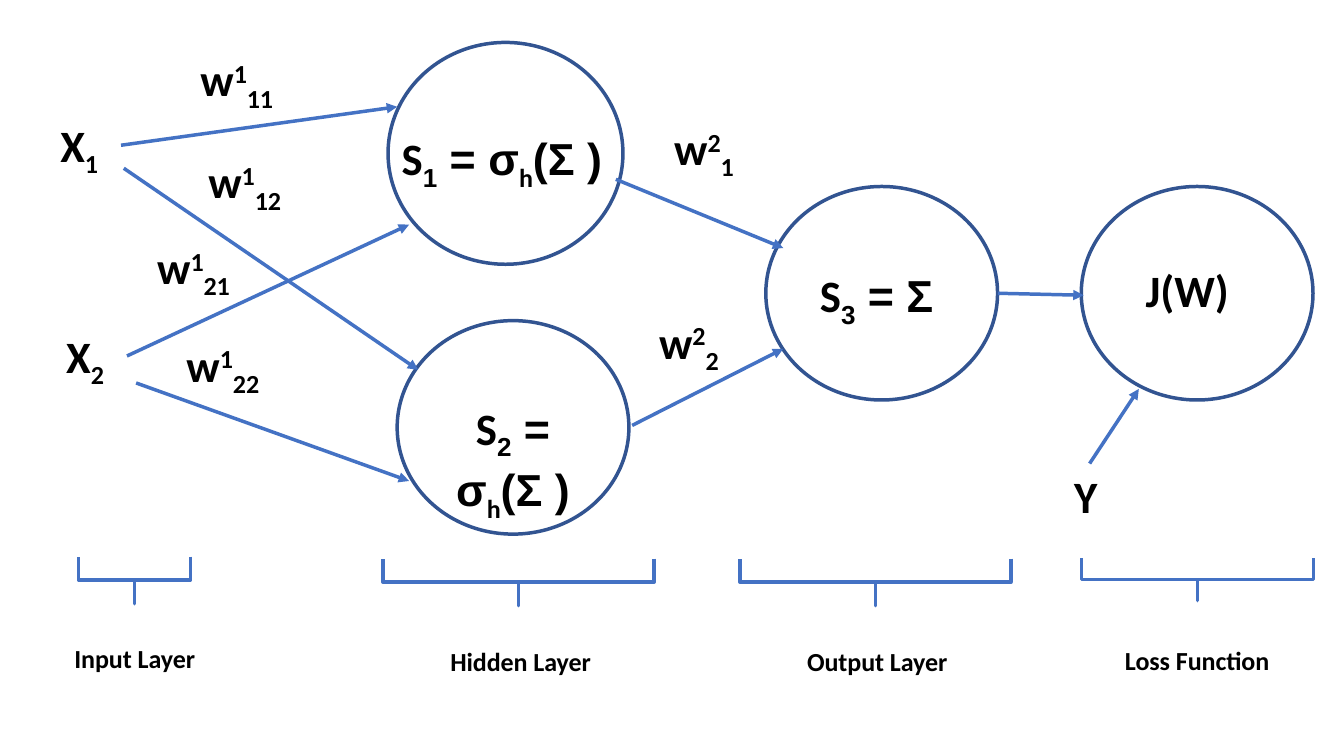
"""Build a slide showing a small neural network with its layers and loss function."""
from dataclasses import dataclass

from lxml import etree
from pptx import Presentation
from pptx.dml.color import RGBColor
from pptx.enum.shapes import MSO_CONNECTOR, MSO_SHAPE
from pptx.enum.text import MSO_AUTO_SIZE, PP_ALIGN
from pptx.oxml.ns import qn
from pptx.util import Cm, Pt


@dataclass(frozen=True)
class Theme:
    text: RGBColor = RGBColor(0x00, 0x00, 0x00)
    arrow: RGBColor = RGBColor(0x44, 0x72, 0xC4)
    outline: RGBColor = RGBColor(0x32, 0x54, 0x91)
    size: Pt = Pt(32)
    stroke: Pt = Pt(2.5)
    main: str = "Calibri"
    math: str = "Arial"


THEME = Theme()
SUB, BASE, SUPER = -25000, 0, 30000
LABEL_HEIGHT, CAPTION_HEIGHT = 1.63, 1.17
WEIGHT_WIDTH = 2.57


def symbol(name, sub="", sup=""):
    parts = [(name, BASE, THEME.main), (sup, SUPER, THEME.main), (sub, SUB, THEME.main)]
    return [part for part in parts if part[0]]


def neuron_sum(index, end=""):
    return [("S", BASE, THEME.main), (index, SUB, THEME.math), (f" = {end}", BASE, THEME.math)]


def hidden_sum(index, end):
    return neuron_sum(index, "σ") + [("h", SUB, THEME.main), (end, BASE, THEME.math)]


NEURONS = [
    ((9.78, 1.07, 5.92, 5.59), (9.78, 3.18, 5.74), hidden_sum("1", "(Σ ) ")),
    ((10.01, 8.08, 5.84, 5.38), (10.16, 9.98, 5.54), hidden_sum("2", "(Σ )")),
    ((19.3, 4.7, 5.84, 5.38), (19.53, 6.63, 5.44), neuron_sum("3", "Σ ")),
    ((27.25, 4.7, 5.84, 5.38), (27.2, 6.5, 5.44), symbol("J(W)")),
]
INPUTS = [
    ((1.27, 2.84, 1.78), symbol("X", "1")),
    ((1.42, 8.15, 1.78), symbol("X", "2")),
    ((26.82, 11.68, 1.27), symbol("Y")),
]
WEIGHTS = [
    (4.8, 1.19, "1", "11"),
    (5.0, 3.76, "1", "12"),
    (3.71, 5.92, "1", "21"),
    (4.45, 8.38, "1", "22"),
    (16.74, 2.92, "2", "1"),
    (16.36, 7.8, "2", "2"),
]
ARROWS = [
    (3.05, 3.66, 10.01, 2.69),
    (3.12, 4.24, 10.54, 9.32),
    (3.2, 8.97, 10.31, 5.66),
    (3.43, 9.65, 10.31, 12.12),
    (15.52, 4.52, 19.74, 6.25),
    (15.93, 10.72, 19.74, 8.79),
    (25.15, 7.39, 27.31, 7.44),
    (27.46, 11.68, 28.7, 9.8),
]
LAYERS = [
    ("Input Layer", (3.39, 14.62, 2.82, 1.19), (1.07, 15.32, 4.65)),
    ("Hidden Layer", (13.07, 14.67, 6.83, 1.19), (10.54, 15.39, 5.16)),
    ("Output Layer", (22.06, 14.67, 6.83, 1.19), (19.53, 15.39, 5.16)),
    ("Loss Function", (30.18, 14.6, 5.84, 1.07), (27.25, 15.37, 5.84)),
]


def add_outline(slide, preset, box, color):
    shape = slide.shapes.add_shape(preset, *map(Cm, box))
    shape.shadow.inherit = False
    shape.fill.background()
    shape.line.color.rgb = color
    shape.line.width = THEME.stroke
    return shape


def add_text(slide, place, runs, align=PP_ALIGN.LEFT, height=LABEL_HEIGHT):
    frame = slide.shapes.add_textbox(*map(Cm, (*place, height))).text_frame
    frame.word_wrap = True
    frame.auto_size = MSO_AUTO_SIZE.SHAPE_TO_FIT_TEXT
    paragraph = frame.paragraphs[0]
    paragraph.alignment = align
    for text, baseline, font_name in runs:
        run = paragraph.add_run()
        run.text = text
        run.font.name = font_name
        run.font.size = THEME.size
        run.font.bold = True
        run.font.color.rgb = THEME.text
        if baseline:
            run._r.get_or_add_rPr().set("baseline", str(baseline))


def add_arrow(slide, ends):
    arrow = slide.shapes.add_connector(MSO_CONNECTOR.STRAIGHT, *map(Cm, ends))
    arrow.line.color.rgb = THEME.arrow
    arrow.line.width = THEME.stroke
    properties = arrow._element.spPr
    etree.SubElement(properties.find(qn("a:ln")), qn("a:tailEnd"), type="triangle")
    etree.SubElement(properties, qn("a:effectLst"))


def add_brace(slide, center_x, center_y, span, depth):
    box = (center_x - depth / 2, center_y - span / 2, depth, span)
    brace = add_outline(slide, MSO_SHAPE.RIGHT_BRACE, box, THEME.arrow)
    brace.adjustments[0] = 0
    brace.adjustments[1] = 0.5
    brace.rotation = 90


def main():
    deck = Presentation()
    deck.slide_width, deck.slide_height = Cm(33.87), Cm(19.05)
    slide = deck.slides.add_slide(deck.slide_layouts.get_by_name("Blank"))
    for circle, place, runs in NEURONS:
        add_outline(slide, MSO_SHAPE.OVAL, circle, THEME.outline)
        add_text(slide, place, runs, PP_ALIGN.CENTER)
    for place, runs in INPUTS:
        add_text(slide, place, runs)
    for left, top, layer, index in WEIGHTS:
        add_text(slide, (left, top, WEIGHT_WIDTH), symbol("w", index, layer))
    for ends in ARROWS:
        add_arrow(slide, ends)
    for caption, brace, place in LAYERS:
        add_brace(slide, *brace)
        add_text(slide, place, [(caption, SUB, THEME.main)], PP_ALIGN.CENTER, CAPTION_HEIGHT)
    deck.save("out.pptx")


main()
